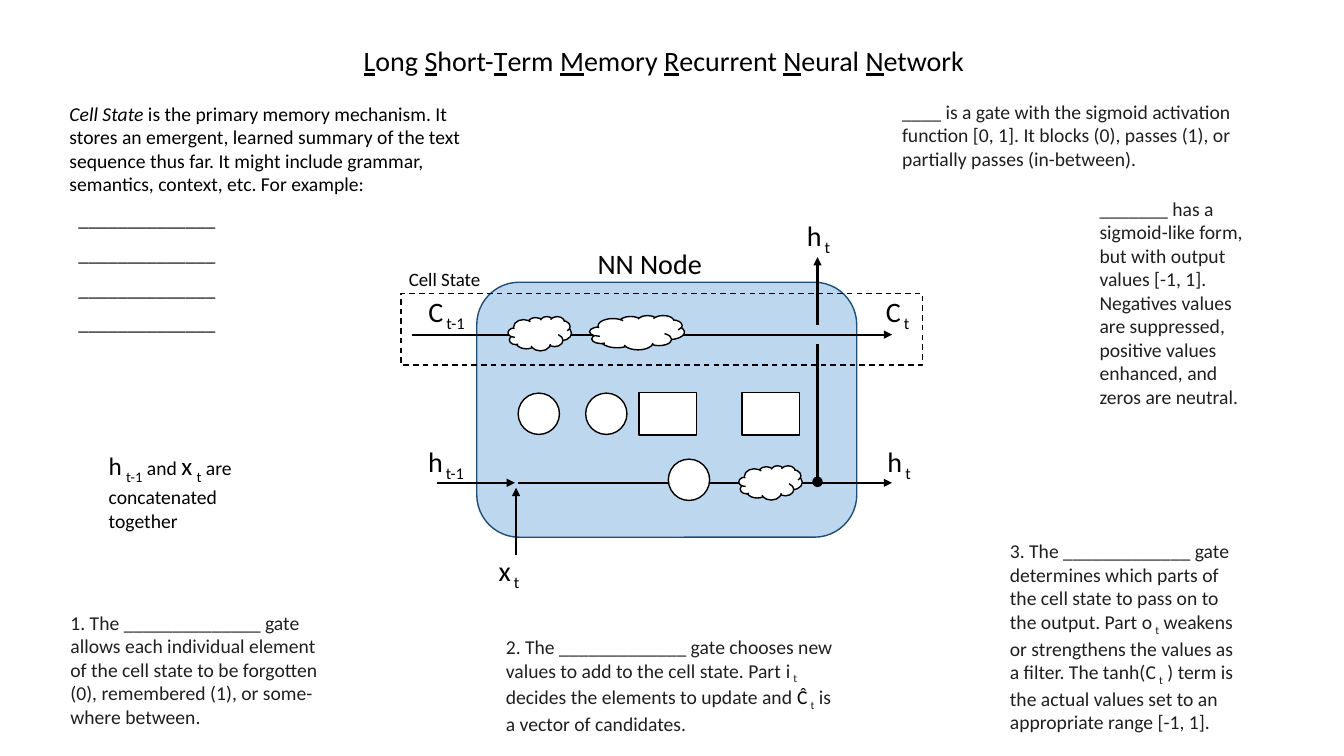
"""Build a fill-in-the-blanks slide about the LSTM recurrent neural network."""
from dataclasses import dataclass

from lxml import etree
from pptx import Presentation, util as u
from pptx.dml.color import RGBColor
from pptx.enum import dml, shapes, text
from pptx.oxml.ns import qn


@dataclass(frozen=True)
class Theme:
    font: str = "Calibri"
    black: str = "000000"
    ink: str = "1F1F1F"
    white: str = "FFFFFF"
    node: str = "BDD7EE"
    node_edge: str = "1F4E79"
    title: float = 20
    symbol: float = 20.1
    term: float = 18
    note: float = 14
    caption: float = 13.5
    edge: float = 1
    flow: float = 1.5


THEME = Theme()
CELL = u.Inches(0.1)
COLUMNS, ROWS = 133.33, 75

TITLE_WORDS = ["Long ", "Short-", "Term ", "Memory ", "Recurrent ", "Neural ", "Network"]
TITLE_BOX = (34.9, 3.8, 61.9, 4.4)

CELL_LANE, HIDDEN_LANE, GATE_ROW = 33.2, 47.9, 41.05
OUTPUT_COLUMN, INPUT_COLUMN = 81.1, 51.2
LANE_START, LANE_END = 40.9, 88.5
NODE_BOX = (47.3, 28, 37.7, 25.3)
CELL_STATE_BOX = (39.8, 29.1, 51.7, 7.1)

FLOWS = [
    (LANE_START, CELL_LANE, LANE_END, CELL_LANE, True),
    (43.4, HIDDEN_LANE, 51.1, HIDDEN_LANE, True),
    (51.4, HIDDEN_LANE, LANE_END, HIDDEN_LANE, True),
    (INPUT_COLUMN, 55.1, INPUT_COLUMN, 48.4, True),
    (OUTPUT_COLUMN, HIDDEN_LANE, OUTPUT_COLUMN, 34.1, False),
    (OUTPUT_COLUMN, 32.2, OUTPUT_COLUMN, 25.5, True),
]

KINDS = {
    "gate": (shapes.MSO_SHAPE.OVAL, 4.1, 4.1, THEME.white),
    "activation": (shapes.MSO_SHAPE.RECTANGLE, 5.7, 4.2, THEME.white),
    "cloud": (shapes.MSO_SHAPE.CLOUD, 6.3, 3.4, THEME.white),
    "wide cloud": (shapes.MSO_SHAPE.CLOUD, 9.4, 3.4, THEME.white),
    "junction": (shapes.MSO_SHAPE.OVAL, 0.9, 0.9, THEME.black),
}
BLANKS = [
    ("cloud", 53.55, 33.1), ("wide cloud", 63.2, 33),
    ("gate", 53.45, GATE_ROW), ("gate", 60.15, GATE_ROW),
    ("activation", 66.25, GATE_ROW), ("activation", 76.45, GATE_ROW),
    ("gate", 68.35, 47.6), ("cloud", 76.45, HIDDEN_LANE),
    ("junction", OUTPUT_COLUMN, 47.8),
]

SYMBOLS = [
    ("C", "t", 89.05, 28.7), ("C", "t-1", 44.3, 28.7),
    ("h", "t-1", 44.25, 43.6), ("h", "t", 89.2, 43.6),
    ("h", "t", 81.2, 21.2), ("x", "t", 50.5, 54.4),
]
SYMBOL_WIDTHS = {"t": 4.4, "t-1": 6}
CAPTIONS = [
    ("Cell State", THEME.caption, (39.5, 26.1, 9.2, 3.3)),
    ("NN Node", THEME.symbol, (58.2, 24, 12.5, 4.4)),
]

SPACED, SUB = {"spacing": 220}, {"baseline": -25000}
TERM = {"size": THEME.term, "color": THEME.black}
BLACK = {"color": THEME.black}
MEMORY_BOX = (5.9, 9.6, 43.8, 24.3)
MEMORY = [
    ("Cell State", {"italic": True, **BLACK}),
    (" is the primary memory mechanism. It stores an emergent, learned summary of the text "
     "sequence thus far. It might include grammar, semantics, context, etc. For example:", BLACK),
]
EXAMPLE_COUNT, EXAMPLE_BLANK = 4, "_" * 14

NOTES = [
    ((88.5, 9.4, 35.9, 8.1), [
        ("____ is a gate with the sigmoid activation function [0, 1]. It blocks (0), "
         "passes (1), or partially passes (in-between).", {})]),
    ((108.1, 19, 16.3, 22.2), [
        ("_______ has a sigmoid-like form, but with output values [-1, 1]. Negatives values "
         "are suppressed, positive values enhanced, and zeros are neutral.", {})]),
    ((6, 60.1, 28.2, 12.8), [
        ("1. The ______________ gate allows each individual element of the cell state to be "
         "forgotten (0), remembered (1), or some-where between.", {})]),
    ((49.2, 62.5, 35.6, 10.4), [
        ("2. The _____________ gate chooses new values to add to the cell state. Part ", {}),
        ("i", SPACED), ("t", SUB),
        (" decides the elements to update and ", {}),
        ("Ĉ", {**SPACED, **BLACK}), ("t", SUB),
        (" is a vector of candidates.", {})]),
    ((99.2, 53, 25.1, 19.9), [
        ("3. The _____________ gate determines which parts of the cell state to pass on to "
         "the output. Part ", {}),
        ("o", SPACED), ("t", SUB),
        (" weakens or strengthens the values as a filter. The tanh(", {}),
        ("C", SPACED), ("t", SUB),
        (" ) term is the actual values set to an appropriate range [-1, 1].", {})]),
    ((9.8, 44.2, 14.9, 8.8), [
        ("h", {**TERM, "spacing": 300}), ("t-1", {**TERM, **SUB}),
        (" and ", BLACK),
        ("x", {**TERM, "spacing": 300}), ("t", {**TERM, **SUB}),
        (" are concatenated together", BLACK)]),
]


def grid(*cells):
    return [round(cell * CELL) for cell in cells]


def write(paragraph, pieces, size=THEME.note, color=THEME.ink):
    for words, style in pieces:
        run = paragraph.add_run()
        run.text = words
        font = run.font
        font.name = THEME.font
        font.size = u.Pt(style.get("size", size))
        font.color.rgb = RGBColor.from_string(style.get("color", color))
        font.italic = style.get("italic")
        font.underline = style.get("underline")
        properties = run._r.get_or_add_rPr()
        for key, attribute in (("spacing", "spc"), ("baseline", "baseline")):
            if key in style:
                properties.set(attribute, str(style[key]))


def fit(frame, wrap):
    frame.word_wrap = wrap
    frame.auto_size = text.MSO_AUTO_SIZE.SHAPE_TO_FIT_TEXT
    frame.vertical_anchor = text.MSO_ANCHOR.TOP
    if not wrap:
        frame.paragraphs[0].alignment = text.PP_ALIGN.CENTER
    return frame


def add_words(box, pieces, wrap=True, **look):
    frame = fit(slide.shapes.add_textbox(*grid(*box)).text_frame, wrap)
    write(frame.paragraphs[0], pieces, **look)
    return frame


def add_outline(kind, box, fill=None, edge=THEME.black):
    outline = slide.shapes.add_shape(kind, *grid(*box))
    outline.shadow.inherit = False
    if fill:
        outline.fill.solid()
        outline.fill.fore_color.rgb = RGBColor.from_string(fill)
    else:
        outline.fill.background()
    outline.line.color.rgb = RGBColor.from_string(edge)
    outline.line.width = u.Pt(THEME.edge)
    return outline


def add_flow(*ends, arrow):
    flow = slide.shapes.add_connector(shapes.MSO_CONNECTOR.STRAIGHT, *grid(*ends))
    flow.line.color.rgb = RGBColor.from_string(THEME.black)
    flow.line.width = u.Pt(THEME.flow)
    if arrow:
        etree.SubElement(flow.line._get_or_add_ln(), qn("a:tailEnd"), type="triangle")
    etree.SubElement(flow._element.spPr, qn("a:effectLst"))


deck = Presentation()
deck.slide_width, deck.slide_height = grid(COLUMNS, ROWS)
slide = deck.slides.add_slide(deck.slide_layouts.get_by_name("Title Only"))

title = slide.shapes.title
title.left, title.top, title.width, title.height = grid(*TITLE_BOX)
title_pieces = [piece for word in TITLE_WORDS
                for piece in ((word[0], {"underline": True}), (word[1:], {}))]
write(fit(title.text_frame, False).paragraphs[0], title_pieces, THEME.title, THEME.black)

add_outline(shapes.MSO_SHAPE.ROUNDED_RECTANGLE, NODE_BOX, THEME.node, THEME.node_edge)
cell_state = add_outline(shapes.MSO_SHAPE.RECTANGLE, CELL_STATE_BOX)
cell_state.line.dash_style = dml.MSO_LINE.DASH
for *ends, arrow in FLOWS:
    add_flow(*ends, arrow=arrow)
for kind, x, y in BLANKS:
    preset, width, height, fill = KINDS[kind]
    add_outline(preset, (x - width / 2, y - height / 2, width, height), fill)

for letter, step, x, top in SYMBOLS:
    width = SYMBOL_WIDTHS[step]
    add_words((x - width / 2, top, width, 4.4), [(letter, SPACED), (step, SUB)],
              wrap=False, size=THEME.symbol, color=THEME.black)
for caption, size, box in CAPTIONS:
    add_words(box, [(caption, {})], wrap=False, size=size, color=THEME.black)
for box, pieces in NOTES:
    add_words(box, pieces)

memory = add_words(MEMORY_BOX, MEMORY)
memory.paragraphs[0].space_before = u.Pt(12)
for _ in range(EXAMPLE_COUNT):
    example = memory.add_paragraph()
    example.space_before = u.Pt(8)
    example._p.get_or_add_pPr().set("marL", str(round(0.9 * CELL)))
    write(example, [(EXAMPLE_BLANK, BLACK)])

deck.save("out.pptx")
